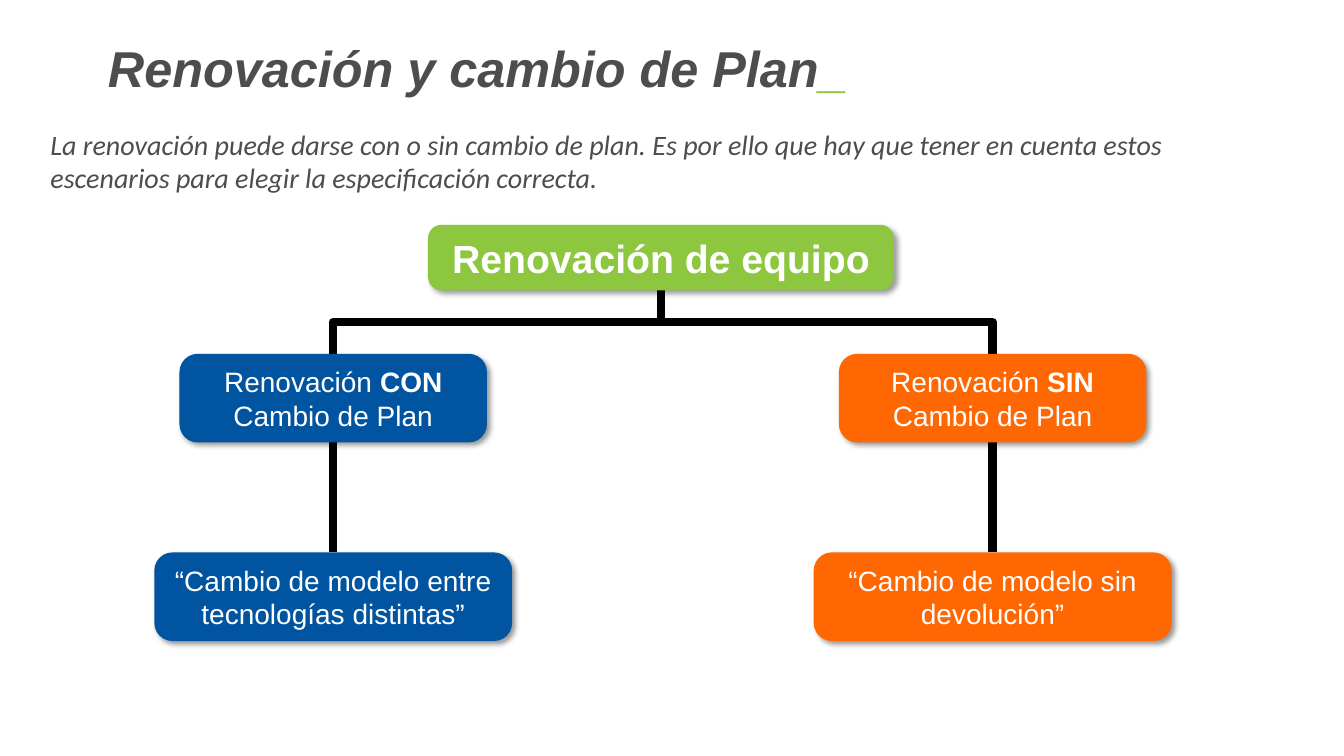
from lxml.etree import SubElement
from pptx import Presentation
from pptx.dml.color import RGBColor
from pptx.enum.shapes import MSO_CONNECTOR, MSO_SHAPE
from pptx.enum.text import MSO_ANCHOR, MSO_AUTO_SIZE, PP_ALIGN
from pptx.oxml.ns import qn
from pptx.util import Inches, Pt

COLORS = {"gray": "4D4D4D", "green": "8DC63F", "blue": "0154A0",
          "orange": "FF6702", "white": "FFFFFF", "black": "000000"}


def color(name):
    return RGBColor.from_string(COLORS[name])


def write(shape, runs, size=20, font="Arial", ink="white", bold=False,
          italic=False, align=PP_ALIGN.CENTER, anchor=MSO_ANCHOR.MIDDLE):
    """Fill a shape with runs of (text, changes to the format)."""
    frame = shape.text_frame
    frame.word_wrap = True
    frame.auto_size = MSO_AUTO_SIZE.NONE
    frame.vertical_anchor = anchor
    para = frame.paragraphs[0]
    para.alignment = align
    para.space_before = Pt(0)
    for text, change in runs:
        run = para.add_run()
        run.text = text
        run.font.name = font
        run.font.size = Pt(size)
        run.font.bold = change.get("bold", bold)
        run.font.italic = italic
        run.font.color.rgb = color(change.get("ink", ink))


def place(shape, box):
    shape.left, shape.top, shape.width, shape.height = map(Inches, box)


# Title and lead text
def add_title(slide, box):
    title = slide.shapes.title
    place(title, box)
    write(title, [("Renovación y cambio de Plan", {}), ("_", {"ink": "green"})],
          size=36, ink="gray", bold=True, italic=True, align=PP_ALIGN.LEFT)


def add_lead(slide, box):
    lead = slide.placeholders[1]
    place(lead, box)
    props = lead.text_frame.paragraphs[0]._p.get_or_add_pPr()
    props.set("marL", "0")
    props.set("indent", "0")
    SubElement(props, qn("a:buNone"))
    text = ("La renovación puede darse con o sin cambio de plan. Es por ello que hay "
            "que tener en cuenta estos escenarios para elegir la especificación correcta.")
    write(lead, [(text, {})], font="Calibri", ink="gray", italic=True,
          align=PP_ALIGN.LEFT, anchor=MSO_ANCHOR.TOP)


# Parts of the tree
def add_shade(shape):
    shape.shadow.inherit = False
    effects = shape._element.spPr.find(qn("a:effectLst"))
    shade = SubElement(effects, qn("a:outerShdw"), blurRad=str(Pt(4)), dist=str(Pt(3)),
                       dir=str(45 * 60000), algn="tl", rotWithShape="0")
    tint = SubElement(shade, qn("a:srgbClr"), val=COLORS["black"])
    SubElement(tint, qn("a:alpha"), val="40000")


def add_node(slide, box, fill, runs, **style):
    node = slide.shapes.add_shape(MSO_SHAPE.ROUNDED_RECTANGLE, *map(Inches, box))
    node.adjustments[0] = 0.206
    node.fill.solid()
    node.fill.fore_color.rgb = color(fill)
    node.line.fill.background()
    add_shade(node)
    write(node, runs, **style)


def add_link(slide, kind, *ends):
    link = slide.shapes.add_connector(kind, *map(Inches, ends))
    link.line.color.rgb = color("black")
    link.line.width = Pt(6)
    SubElement(link._element.spPr, qn("a:effectLst"))
    return link


def add_elbow(slide, x1, y1, x2, y2):
    """Go down, across and down: a bent line turned by a quarter."""
    drop, span = y2 - y1, abs(x2 - x1)
    left = (x1 + x2 - drop) / 2
    top = (y1 + y2 - span) / 2
    ends, turn = (left, left + drop), 90
    if x2 > x1:
        ends, turn = ends[::-1], 270
    link = add_link(slide, MSO_CONNECTOR.ELBOW, ends[0], top, ends[1], top + span)
    link._element.spPr.xfrm.set("rot", str(turn * 60000))


def add_tree(slide, box):
    left, top, width, height = box
    root_w, root_h = 4.62, 0.65
    case_w, note_w, node_h = 3.05, 3.55, 0.88
    case_y = top + 1.28
    note_y = top + height - node_h
    mid = left + width / 2 - 0.02
    cases = [
        (left + note_w / 2, "blue", "CON",
         "“Cambio de modelo entre tecnologías distintas”"),
        (left + width - note_w / 2, "orange", "SIN",
         "“Cambio de modelo sin devolución”"),
    ]
    # Links lie behind the nodes
    for x, *_ in cases:
        add_elbow(slide, mid, top + root_h, x, case_y)
        add_link(slide, MSO_CONNECTOR.STRAIGHT, x, case_y + node_h, x, note_y)
    # Root, then a case and a note in each branch
    add_node(slide, (mid - root_w / 2, top, root_w, root_h), "green",
             [("Renovación de equipo", {})], size=28, bold=True)
    for x, fill, word, note in cases:
        add_node(slide, (x - case_w / 2, case_y, case_w, node_h), fill,
                 [("Renovación ", {}), (word, {"bold": True}), (" Cambio de Plan", {})])
        add_node(slide, (x - note_w / 2, note_y, note_w, node_h), fill, [(note, {})])


def main():
    deck = Presentation()
    deck.slide_width, deck.slide_height = Inches(13.33), Inches(7.5)
    slide = deck.slides.add_slide(deck.slide_layouts[1])
    add_title(slide, (0.97, 0.31, 8.2, 0.71))
    add_lead(slide, (0.4, 1.21, 12.31, 0.77))
    add_tree(slide, (1.53, 2.23, 10.09, 4.13))
    deck.save("out.pptx")


if __name__ == "__main__":
    main()
